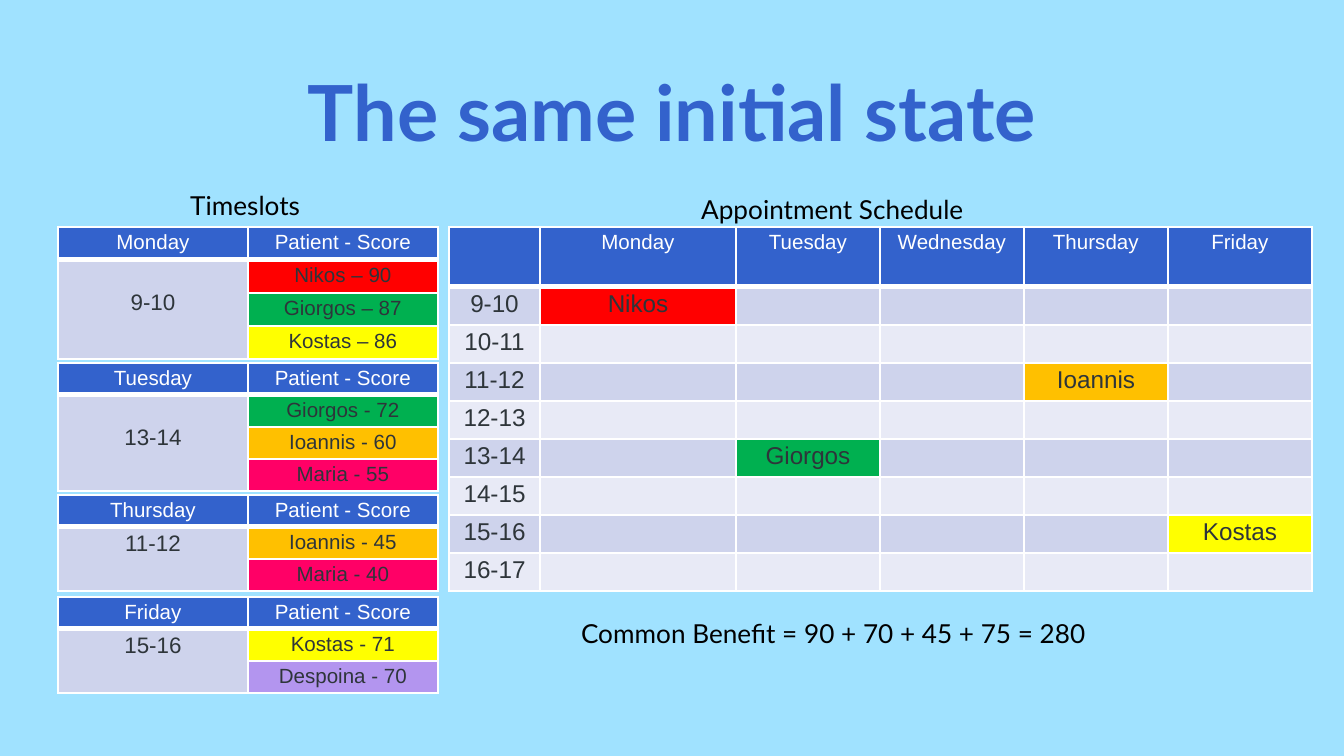
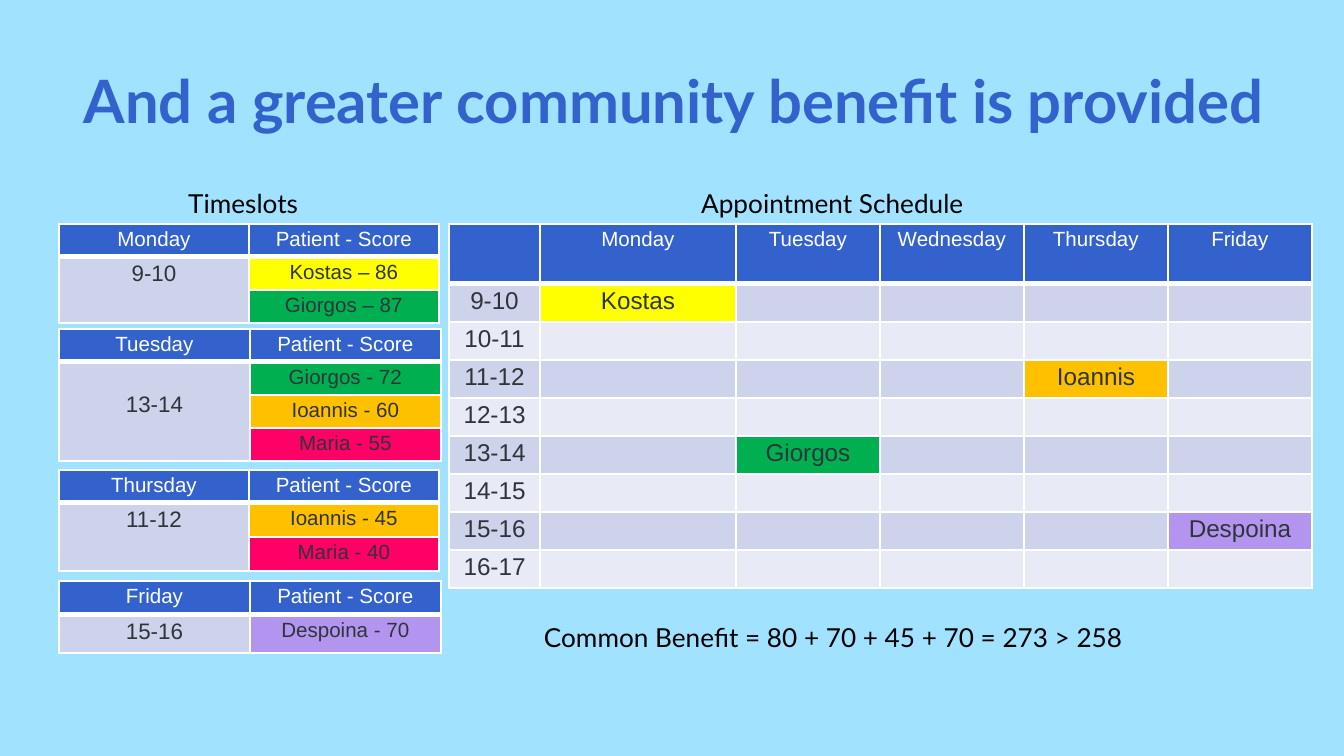
import dataclasses

import lxml.etree
import pptx
import pptx.dml.color
import pptx.enum.text
import pptx.oxml.ns
import pptx.util

SCALE = 914400 / 134.4
SLIDE_SIZE = (1344, 756)


@dataclasses.dataclass(frozen=True)
class Theme:
    background: str = "A0E2FF"
    accent: str = "3362CC"
    black: str = "000000"
    white: str = "FFFFFF"
    ink: str = "2E353A"
    band_dark: str = "CED3EC"
    band_light: str = "E8EAF6"
    heading_font: str = "Lato"
    table_font: str = "Arial"
    label_size: float = 14
    header_size: float = 11
    slot_size: float = 12
    schedule_size: float = 13
    border: float = 1
    header_border: float = 3


THEME = Theme()
PATIENT_COLORS = {
    "Nikos": "FF0000",
    "Giorgos": "00B050",
    "Kostas": "FFFF00",
    "Ioannis": "FFC000",
    "Maria": "FF0066",
    "Despoina": "B395EF",
}
DAYS = ["Monday", "Tuesday", "Wednesday", "Thursday", "Friday"]
HOURS = [f"{hour}-{hour + 1}" for hour in range(9, 17)]
SCHEDULE_COLUMNS = [91, 196, 144, 144, 144, 144]
SCHEDULE_ROWS = [60] + [38] * len(HOURS)
CELL_INSET = (9, 4)
BLANK_LINE = 26

SLIDES = [
    {
        "title": ("The same initial state", 41.4, (93, 51, 1158, 110)),
        "labels": [
            ("Timeslots", (177, 183, 148, 46), "left"),
            ("Appointment Schedule", (688, 187, 294, 46), "left"),
            ("Common Benefit = 90 + 70 + 45 + 75 = 280", (458, 611, 751, 46), "center"),
        ],
        "schedule_at": (449, 227),
        "bookings": {
            ("Monday", "9-10"): "Nikos",
            ("Thursday", "11-12"): "Ioannis",
            ("Tuesday", "13-14"): "Giorgos",
            ("Friday", "15-16"): "Kostas",
        },
        "timeslots": [
            ("Monday", "9-10", ["Nikos – 90", "Giorgos – 87", "Kostas – 86"], (58, 227), 190, (33, 33)),
            ("Tuesday", "13-14", ["Giorgos - 72", "Ioannis - 60", "Maria - 55"], (58, 363), 190, (32, 32)),
            ("Thursday", "11-12", ["Ioannis - 45", "Maria - 40"], (58, 495), 190, (32, 32)),
            ("Friday", "15-16", ["Kostas - 71", "Despoina - 70"], (58, 597), 190, (32, 32)),
        ],
    },
    {
        "title": ("And a greater community benefit is provided", 32, (13, 51, 1322, 110)),
        "labels": [
            ("Timeslots", (175, 181, 148, 46), "left"),
            ("Appointment Schedule", (688, 181, 294, 46), "left"),
            ("Common Benefit = 80 + 70 + 45 + 70 = 273 > 258", (458, 615, 751, 46), "center"),
        ],
        "schedule_at": (449, 224),
        "bookings": {
            ("Monday", "9-10"): "Kostas",
            ("Thursday", "11-12"): "Ioannis",
            ("Tuesday", "13-14"): "Giorgos",
            ("Friday", "15-16"): "Despoina",
        },
        "timeslots": [
            ("Monday", "9-10", ["Kostas – 86", "Giorgos – 87"], (59, 224), 190, (33, 33)),
            ("Tuesday", "13-14", ["Giorgos - 72", "Ioannis - 60", "Maria - 55"], (59, 329), 191, (33, 33)),
            ("Thursday", "11-12", ["Ioannis - 45", "Maria - 40"], (59, 470), 190, (33, 34)),
            ("Friday", "15-16", ["Despoina - 70"], (59, 581), 191, (34, 38)),
        ],
    },
]


def px(length):
    return pptx.util.Emu(round(length * SCALE))


def rgb(color):
    return pptx.dml.color.RGBColor.from_string(color)


def write(frame, text, *, size, color, font=THEME.table_font, bold=False, align="center"):
    paragraph = frame.paragraphs[0]
    paragraph.alignment = pptx.enum.text.PP_ALIGN[align.upper()]
    if not text:
        ending = lxml.etree.SubElement(paragraph._p, pptx.oxml.ns.qn("a:endParaRPr"))
        ending.set("sz", str(round(size * 100)))
        return
    run = paragraph.add_run()
    run.text = text
    run.font.name = font
    run.font.size = pptx.util.Pt(size)
    run.font.bold = bold
    run.font.color.rgb = rgb(color)


def draw_borders(cell, bottom):
    properties = cell._tc.get_or_add_tcPr()
    widths = {"lnL": THEME.border, "lnR": THEME.border, "lnT": THEME.border, "lnB": bottom}
    for side, width in widths.items():
        line = lxml.etree.SubElement(properties, pptx.oxml.ns.qn(f"a:{side}"))
        line.set("w", str(pptx.util.Pt(width)))
        fill = lxml.etree.SubElement(line, pptx.oxml.ns.qn("a:solidFill"))
        lxml.etree.SubElement(fill, pptx.oxml.ns.qn("a:srgbClr")).set("val", THEME.white)


def fill_cell(cell, text, fill, *, size, color=THEME.ink, bottom=THEME.border, drop=0):
    side, end = CELL_INSET
    cell.margin_left = cell.margin_right = px(side)
    cell.margin_top = px(end + drop)
    cell.margin_bottom = px(end)
    draw_borders(cell, bottom)
    cell.fill.solid()
    cell.fill.fore_color.rgb = rgb(fill)
    write(cell.text_frame, text, size=size, color=color)


def add_grid(slide, position, columns, rows, headings):
    left, top = position
    table = slide.shapes.add_table(
        len(rows), len(columns), px(left), px(top), px(sum(columns)), px(sum(rows))
    ).table
    table.first_row = table.horz_banding = False
    for column, width in zip(table.columns, columns):
        column.width = px(width)
    for row, height in zip(table.rows, rows):
        row.height = px(height)
    for index, heading in enumerate(headings):
        fill_cell(table.cell(0, index), heading, THEME.accent, size=THEME.header_size,
                  color=THEME.white, bottom=THEME.header_border)
    return table


def add_schedule(slide, position, bookings):
    table = add_grid(slide, position, SCHEDULE_COLUMNS, SCHEDULE_ROWS, [""] + DAYS)
    for row, hour in enumerate(HOURS, 1):
        band = THEME.band_dark if row % 2 else THEME.band_light
        fill_cell(table.cell(row, 0), hour, band, size=THEME.schedule_size)
        for column, day in enumerate(DAYS, 1):
            patient = bookings.get((day, hour), "")
            fill_cell(table.cell(row, column), patient, PATIENT_COLORS.get(patient, band),
                      size=THEME.schedule_size)


def add_timeslot(slide, day, hour, patients, position, column_width, row_heights):
    header_height, patient_height = row_heights
    count = len(patients)
    rows = [header_height] + [patient_height] * count
    table = add_grid(slide, position, [column_width] * 2, rows, [day, "Patient - Score"])
    for row, score in enumerate(patients, 1):
        fill_cell(table.cell(row, 1), score, PATIENT_COLORS[score.split()[0]], size=THEME.header_size)
        fill_cell(table.cell(row, 0), hour if row == 1 else "", THEME.band_dark,
                  size=THEME.slot_size, drop=BLANK_LINE if row == 1 and count == 3 else 0)
    if count > 1:
        table.cell(1, 0).merge(table.cell(count, 0))


def add_title(slide, text, size, box):
    title = slide.shapes.title
    title.left, title.top, title.width, title.height = map(px, box)
    frame = title.text_frame
    frame.word_wrap = True
    frame.auto_size = pptx.enum.text.MSO_AUTO_SIZE.NONE
    frame.vertical_anchor = pptx.enum.text.MSO_ANCHOR.TOP
    frame.margin_left = frame.margin_right = frame.margin_top = frame.margin_bottom = px(13)
    write(frame, text, size=size, color=THEME.accent, font=THEME.heading_font, bold=True)


def add_label(slide, text, box, align):
    frame = slide.shapes.add_textbox(*map(px, box)).text_frame
    frame.word_wrap = True
    write(frame, text, size=THEME.label_size, color=THEME.black, font=THEME.heading_font, align=align)


def main():
    deck = pptx.Presentation()
    deck.slide_width, deck.slide_height = map(px, SLIDE_SIZE)
    background = deck.slide_master.background.fill
    background.solid()
    background.fore_color.rgb = rgb(THEME.background)
    for content in SLIDES:
        slide = deck.slides.add_slide(deck.slide_layouts[5])
        add_title(slide, *content["title"])
        add_schedule(slide, content["schedule_at"], content["bookings"])
        for timeslot in content["timeslots"]:
            add_timeslot(slide, *timeslot)
        for label in content["labels"]:
            add_label(slide, *label)
    deck.save("out.pptx")


if __name__ == "__main__":
    main()
